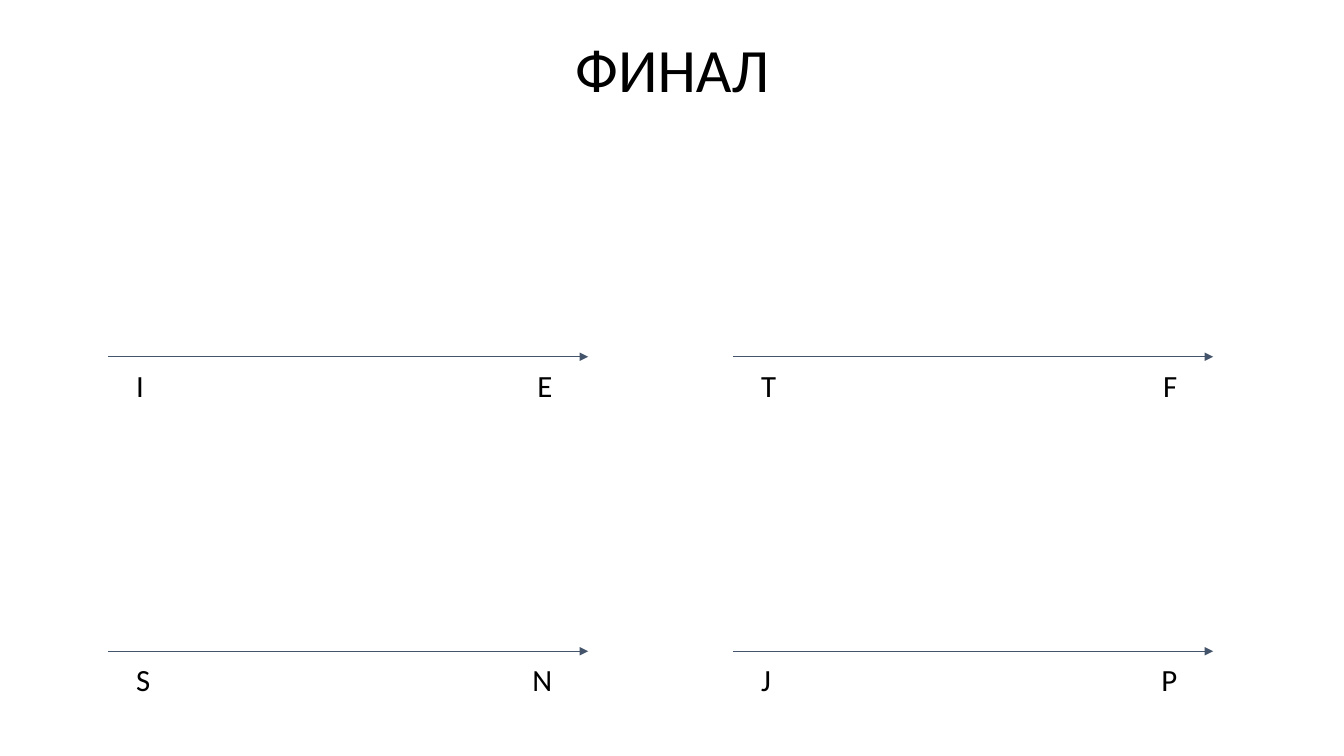
from lxml.etree import SubElement
from pptx import Presentation
from pptx.dml.color import RGBColor
from pptx.enum.shapes import MSO_CONNECTOR as Connector
from pptx.enum.text import MSO_ANCHOR as Anchor, PP_ALIGN as Align
from pptx.oxml.ns import qn
from pptx.util import Cm, Pt

# Content: one row of scales per line, each with its two poles
HEADING = "ФИНАЛ"
SCALES = [
    [("I", "E"), ("T", "F")],
    [("S", "N"), ("J", "P")],
]

# Layout in centimetres
SLIDE_SIZE = (33.87, 19.05)
HEADING_BOX = (2.34, 0, 29.21, 3.68)
FIRST_AXIS = (2.72, 8.99)
AXIS_STEP = (15.75, 7.42)
AXIS_LENGTH = 12.1
POLES_INDENT, POLES_WIDTH, POLES_HEIGHT = 0.46, 11.18, 1.45
RIGHT_POLE = 10.49

# Formats
FONT = "Calibri"
INK, AXIS_COLOUR = "000000", "44546A"
HEADING_FORMAT = {"name": FONT, "size": Pt(44)}
POLE_FORMAT = {"name": FONT, "size": Pt(22)}


def colour(target, hex_value):
    target.rgb = RGBColor.from_string(hex_value)


def add_text(slide, box, text, font_format, inset):
    """Add a wrapped text box and return its frame."""
    frame = slide.shapes.add_textbox(*map(Cm, box)).text_frame
    frame.word_wrap = True
    frame.margin_top = frame.margin_bottom = Cm(inset)
    frame.margin_left = frame.margin_right = Cm(0.25)
    run = frame.paragraphs[0].add_run()
    run.text = text
    for key, value in font_format.items():
        setattr(run.font, key, value)
    colour(run.font.color, INK)
    return frame


def add_axis(slide, left, top):
    axis = slide.shapes.add_connector(
        Connector.STRAIGHT, Cm(left), Cm(top), Cm(left + AXIS_LENGTH), Cm(top))
    axis.line.width = Pt(0.75)
    colour(axis.line.color, AXIS_COLOUR)
    SubElement(axis.line._get_or_add_ln(), qn("a:tailEnd"), type="triangle")
    SubElement(axis._element.spPr, qn("a:effectLst"))


def add_poles(slide, left, top, poles):
    """Write both poles on one line, the second at a right-aligned tab."""
    box = (left + POLES_INDENT, top, POLES_WIDTH, POLES_HEIGHT)
    frame = add_text(slide, box, "\t".join(poles), POLE_FORMAT, 0.25)
    properties = frame.paragraphs[0]._p.get_or_add_pPr()
    tabs = SubElement(properties, qn("a:tabLst"))
    SubElement(tabs, qn("a:tab"), pos=str(Cm(RIGHT_POLE)), algn="r")


def main():
    deck = Presentation()
    deck.slide_width, deck.slide_height = map(Cm, SLIDE_SIZE)
    slide = deck.slides.add_slide(deck.slide_layouts[6])

    # Heading
    heading = add_text(slide, HEADING_BOX, HEADING, HEADING_FORMAT, 0.13)
    heading.vertical_anchor = Anchor.MIDDLE
    for key, value in {"alignment": Align.CENTER, "line_spacing": 0.9}.items():
        setattr(heading.paragraphs[0], key, value)

    # Grid of scales
    for row, scales in enumerate(SCALES):
        for column, poles in enumerate(scales):
            left = FIRST_AXIS[0] + column * AXIS_STEP[0]
            top = FIRST_AXIS[1] + row * AXIS_STEP[1]
            add_axis(slide, left, top)
            add_poles(slide, left, top, poles)

    deck.save("out.pptx")


if __name__ == "__main__":
    main()
